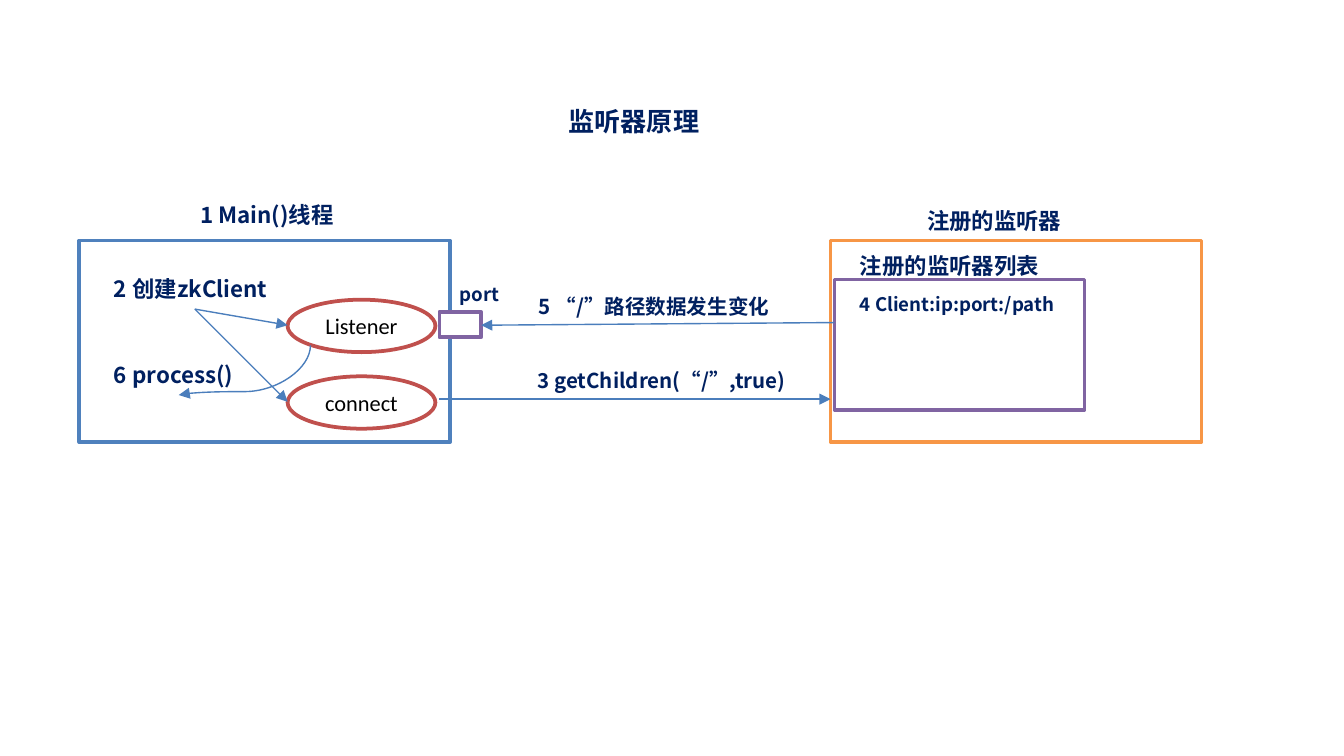
import pptx
import pptx.util
import pptx.dml.color
import pptx.enum.shapes
import pptx.enum.text
import pptx.oxml.ns
import lxml.etree

Inches = pptx.util.Inches
KIND = pptx.enum.shapes.MSO_SHAPE
LINK = pptx.enum.shapes.MSO_CONNECTOR
ALIGN = pptx.enum.text.PP_ALIGN
FONT = "Noto Sans CJK SC"
NAVY, BLUE, RED = "002060", "4F81BD", "C0504D"
ORANGE, PURPLE, ARROW = "F79646", "8064A2", "4B7EBC"


def color(code):
    """Turn a hex string into a colour."""
    return pptx.dml.color.RGBColor.from_string(code)


def add(node, tag, **attrs):
    """Append a drawing element to a node."""
    return lxml.etree.SubElement(node, pptx.oxml.ns.qn(tag), attrs)


def style(para, size, face, code, bold):
    """Format the runs of a paragraph."""
    for run in para.runs:
        font = run.font
        font.size, font.name, font.bold = pptx.util.Pt(size), face, bold
        font.color.rgb = color(code)
        add(font._element, "a:ea", typeface=face)


def label(slide, x, y, w, h, text, size=12):
    """Place a bold navy label."""
    frame = slide.shapes.add_textbox(*map(Inches, (x, y, w, h))).text_frame
    frame.word_wrap = True
    frame.auto_size = pptx.enum.text.MSO_AUTO_SIZE.SHAPE_TO_FIT_TEXT
    frame.text = text
    para = frame.paragraphs[0]
    para.alignment, para.line_spacing = ALIGN.JUSTIFY, 1.2
    style(para, size, FONT, NAVY, True)


def shape(slide, kind, x, y, w, h, line, text=""):
    """Place a white outlined shape with optional centred text."""
    item = slide.shapes.add_shape(kind, *map(Inches, (x, y, w, h)))
    item.shadow.inherit = False
    item.fill.solid()
    item.fill.fore_color.rgb = color("FFFFFF")
    item.line.color.rgb = color(line)
    item.line.width = pptx.util.Pt(2)
    if text:
        frame = item.text_frame
        frame.text = text
        frame.vertical_anchor = pptx.enum.text.MSO_ANCHOR.MIDDLE
        frame.paragraphs[0].alignment = ALIGN.CENTER
        style(frame.paragraphs[0], 12, "Calibri", "000000", False)


def arrow(slide, x1, y1, x2, y2, kind=LINK.STRAIGHT):
    """Draw a thin arrow between two points."""
    link = slide.shapes.add_connector(kind, *map(Inches, (x1, y1, x2, y2)))
    link.line.color.rgb = color(ARROW)
    link.line.width = pptx.util.Pt(0.75)
    add(link.line._get_or_add_ln(), "a:tailEnd", type="triangle")
    add(link._element.spPr, "a:effectLst")
    return link


def bend(slide, x1, y1, x2, y2, adj):
    """Draw a curved arrow that leaves downward, then turns left."""
    run, drop = x1 - x2, y2 - y1
    left, top = (x1 + x2 - drop) / 2, (y1 + y2 - run) / 2
    link = arrow(slide, left, top, left + drop, top + run, LINK.CURVE)
    props = link._element.spPr
    props.find(pptx.oxml.ns.qn("a:xfrm")).set("rot", "5400000")
    geom = props.find(pptx.oxml.ns.qn("a:prstGeom"))
    guides = geom.find(pptx.oxml.ns.qn("a:avLst"))
    if guides is None:
        guides = add(geom, "a:avLst")
    add(guides, "a:gd", name="adj1", fmla=f"val {round(adj * 100000)}")


def client(slide, x, y, w, h):
    """Draw the main thread with its listener, connection and port."""
    shape(slide, KIND.RECTANGLE, x, y, w, h, BLUE)
    label(slide, x + 0.8, y - 0.38, 1.51, 0.34, "1 Main()线程")
    label(slide, x + 0.16, y + 0.17, 1.43, 0.34, "2 创建zkClient")
    for text, top in (("Listener", 0.44), ("connect", 1.01)):
        shape(slide, KIND.OVAL, x + 1.55, y + top, 1.1, 0.39, RED, text)
        arrow(slide, x + 0.86, y + 0.51, x + 1.55, y + top + 0.19)
    shape(slide, KIND.RECTANGLE, x + w - 0.08, y + 0.53, 0.31, 0.19, PURPLE)
    label(slide, x + w - 0.03, y + 0.23, 0.65, 0.3, "port", 10)
    label(slide, x + 0.16, y + 0.81, 1.16, 0.34, "6 process()")
    bend(slide, x + 1.72, y + 0.78, x + 0.74, y + 1.15, 0.93)


def server(slide, x, y, w, h):
    """Draw the registered listeners with their list."""
    shape(slide, KIND.RECTANGLE, x, y, w, h, ORANGE)
    label(slide, x + 0.62, y - 0.34, 1.26, 0.32, "注册的监听器")
    shape(slide, KIND.RECTANGLE, x + 0.03, y + 0.29, 1.86, 0.97, PURPLE)
    label(slide, x + 0.12, y, 1.76, 0.34, "注册的监听器列表")
    label(slide, x + 0.12, y + 0.31, 1.77, 0.3, "4 Client:ip:port:/path", 10)


def calls(slide, x, y, w, h):
    """Draw the messages between both sides."""
    arrow(slide, x, y + h, x + w, y + h)
    arrow(slide, x + w + 0.03, y + 0.03, x + 0.31, y + 0.05)
    label(slide, x + 0.63, y + 0.28, 2.13, 0.32, "3 getChildren(“/”,true)", 11)
    label(slide, x + 0.64, y - 0.27, 2.13, 0.32, "5 “/”路径数据发生变化", 11)


def main():
    """Build and save the slide."""
    deck = pptx.Presentation()
    deck.slide_width = Inches(10)
    deck.slide_height = deck.slide_width * 9 // 16
    slide = deck.slides.add_slide(deck.slide_layouts[6])
    label(slide, 4.13, 0.69, 1.51, 0.38, "监听器原理", 14)
    client(slide, 0.59, 1.79, 2.76, 1.5)
    server(slide, 6.18, 1.79, 2.76, 1.5)
    calls(slide, 3.27, 2.37, 2.91, 0.6)
    deck.save("out.pptx")


if __name__ == "__main__":
    main()
